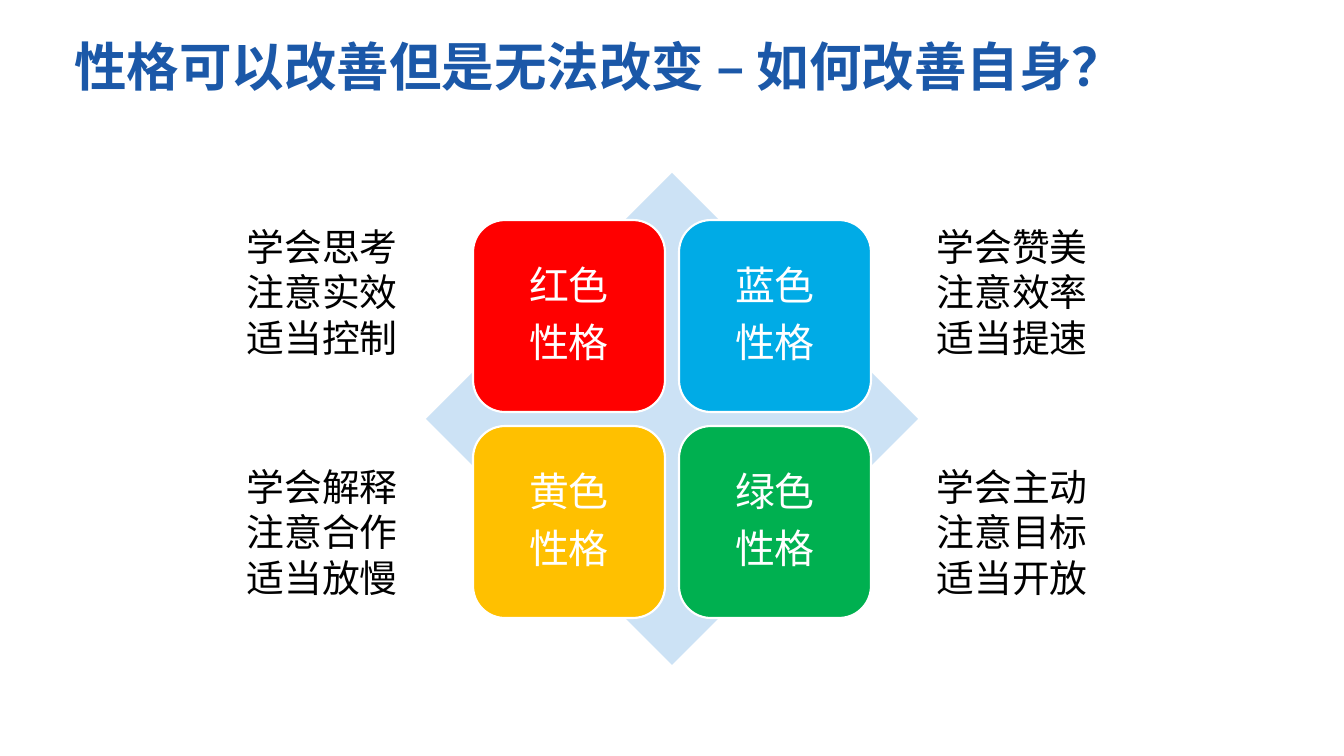
from pptx import Presentation
from pptx import util as u
from pptx.dml.color import RGBColor
from pptx.enum import shapes, text
from pptx.oxml.ns import qn

FONT = "Noto Sans CJK SC"
WHITE = RGBColor(0xFF, 0xFF, 0xFF)
BLACK = RGBColor(0, 0, 0)
TITLE_BLUE = RGBColor(0x1B, 0x58, 0xA8)
PALE_BLUE = RGBColor(0xCC, 0xE2, 0xF5)
RED = RGBColor(0xFF, 0, 0)
BLUE = RGBColor(0, 0xAB, 0xE6)
YELLOW = RGBColor(0xFF, 0xC0, 0)
GREEN = RGBColor(0, 0xB0, 0x50)

TITLE = "性格可以改善但是无法改变 – 如何改善自身？"
# (colour name, fill, advice), row by row
PERSONALITIES = [
    ("红色", RED, ["学会思考", "注意实效", "适当控制"]),
    ("蓝色", BLUE, ["学会赞美", "注意效率", "适当提速"]),
    ("黄色", YELLOW, ["学会解释", "注意合作", "适当放慢"]),
    ("绿色", GREEN, ["学会主动", "注意目标", "适当开放"]),
]

# Layout in px
SLIDE_W, SLIDE_H = 1344, 756
CENTER_X, CENTER_Y = 672, 419
DIAMOND = 492
CARD, GAP = 192, 14
CARD_INSET = 12
ADVICE_X = (239, 929)
ADVICE_Y = (220, 460)
ADVICE_W, ADVICE_H = 172, 145


def px(n):
    return u.Emu(round(n * 914400 / 75.6))


def write(shape, lines, size, color, bold=False):
    frame = shape.text_frame
    frame.word_wrap = True
    frame.text = "\n".join(lines)
    for paragraph in frame.paragraphs:
        for run in paragraph.runs:
            font = run.font
            font.name, font.size, font.bold = FONT, u.Pt(size), bold
            font.color.rgb = color
            east_asian = font._element.makeelement(qn("a:ea"), {"typeface": FONT})
            font._element.find(qn("a:latin")).addnext(east_asian)
    return frame


def add_text(slide, x, y, w, h, lines, size, color, bold=False):
    box = slide.shapes.add_textbox(px(x), px(y), px(w), px(h))
    return write(box, lines, size, color, bold)


def add_filled(slide, kind, x, y, side, fill):
    shape = slide.shapes.add_shape(kind, px(x), px(y), px(side), px(side))
    shape.shadow.inherit = False
    shape.fill.solid()
    shape.fill.fore_color.rgb = fill
    shape.line.fill.background()
    return shape


def add_card(slide, x, y, name, fill):
    card = add_filled(slide, shapes.MSO_SHAPE.ROUNDED_RECTANGLE, x, y, CARD, fill)
    card.line.color.rgb = WHITE
    card.line.width = u.Pt(2)
    frame = write(card, [name, "性格"], 38, WHITE)
    frame.vertical_anchor = text.MSO_ANCHOR.MIDDLE
    frame.margin_left = frame.margin_right = px(CARD_INSET)
    frame.margin_top = frame.margin_bottom = px(CARD_INSET)
    for paragraph in frame.paragraphs:
        paragraph.alignment = text.PP_ALIGN.CENTER
        paragraph.line_spacing = 0.9
        paragraph.space_after = u.Pt(13.3)


def main():
    prs = Presentation()
    prs.slide_width, prs.slide_height = px(SLIDE_W), px(SLIDE_H)
    slide = prs.slides.add_slide(prs.slide_layouts[6])

    # Title
    add_text(slide, 67, 30, 1210, 126, [TITLE], 50, TITLE_BLUE, bold=True)

    # Diamond behind the cards
    add_filled(slide, shapes.MSO_SHAPE.DIAMOND, CENTER_X - DIAMOND / 2,
               CENTER_Y - DIAMOND / 2, DIAMOND, PALE_BLUE)

    # Cards two by two, each with its advice on the outer side
    left, top = CENTER_X - CARD - GAP / 2, CENTER_Y - CARD - GAP / 2
    for i, (name, fill, advice) in enumerate(PERSONALITIES):
        row, col = divmod(i, 2)
        add_card(slide, left + col * (CARD + GAP), top + row * (CARD + GAP), name, fill)
        add_text(slide, ADVICE_X[col], ADVICE_Y[row], ADVICE_W, ADVICE_H,
                 advice, 36, BLACK)

    prs.save("out.pptx")


if __name__ == "__main__":
    main()
